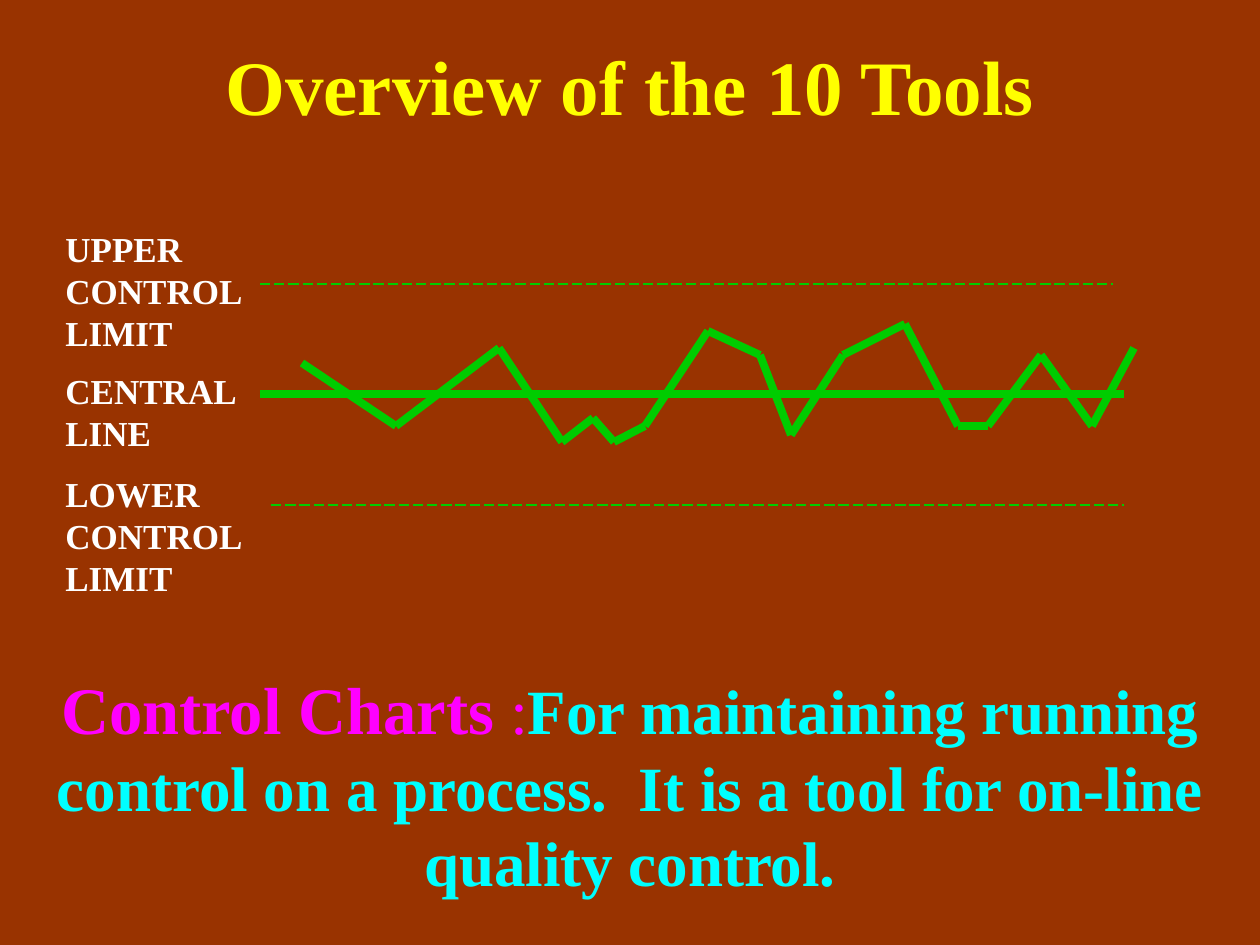
from lxml import etree
from pptx import Presentation
from pptx.dml.color import RGBColor
from pptx.enum.dml import MSO_LINE
from pptx.enum.shapes import MSO_CONNECTOR
from pptx.enum.text import MSO_ANCHOR, MSO_AUTO_SIZE, PP_ALIGN
from pptx.oxml.ns import qn
from pptx.util import Inches, Pt

STRAIGHT = MSO_CONNECTOR.STRAIGHT
DASH = MSO_LINE.LONG_DASH
TOP = MSO_ANCHOR.TOP
FIXED = MSO_AUTO_SIZE.NONE
LEFT, CENTER = PP_ALIGN.LEFT, PP_ALIGN.CENTER

SCALE = Inches(10) / 1260
FONT = "Times New Roman"
COLORS = {
    "back": "993300",
    "title": "FFFF00",
    "term": "FF00FF",
    "body": "00FFFF",
    "label": "FFFFFF",
    "line": "00CC00",
}
LABELS = [
    ("UPPER CONTROL LIMIT", 221, 208, 139),
    ("CENTRAL LINE", 363, 218, 97),
    ("LOWER CONTROL LIMIT", 466, 229, 139),
]
LIMITS = [(260, 1113, 284), (271, 1124, 505)]
CENTRAL = (260, 1124, 394)
POINTS = [
    (302, 363), (396, 426), (499, 348), (562, 442), (593, 418), (614, 442),
    (645, 426), (708, 331), (760, 355), (791, 435), (843, 355), (905, 324),
    (958, 426), (988, 426), (1041, 355), (1092, 426), (1134, 348),
]


def px(num):
    """Turn px into EMU."""
    return round(num * SCALE)


def rgb(name):
    """Look up a colour by its role."""
    return RGBColor.from_string(COLORS[name])


def style(run, size, color, bold=True):
    """Format one run."""
    font = run.font
    font.name, font.size, font.bold = FONT, Pt(size), bold
    font.color.rgb = rgb(color)


def place(shape, left, top, width, height):
    """Move and size a shape."""
    shape.left, shape.top = px(left), px(top)
    shape.width, shape.height = px(width), px(height)


def setup(shape, align):
    """Prepare the text frame and return its first paragraph."""
    frame = shape.text_frame
    frame.word_wrap = True
    frame.auto_size = FIXED
    frame.vertical_anchor = TOP
    para = frame.paragraphs[0]
    para.alignment = align
    para.space_before = Pt(0)
    return para


def add_title(slide):
    """Fill the title placeholder."""
    title = slide.shapes.title
    place(title, 0, 32, 1260, 106)
    para = setup(title, CENTER)
    para.text = "Overview of the 10 Tools"
    style(para.runs[0], 44, "title")


def add_body(slide):
    """Fill the body placeholder with the definition."""
    body = slide.placeholders[1]
    place(body, 0, 662, 1260, 244)
    para = setup(body, CENTER)
    props = para._p.get_or_add_pPr()
    props.set("marL", "0")
    props.set("indent", "0")
    etree.SubElement(props, qn("a:buNone"))
    parts = [
        ("Control Charts", 38, "term", True),
        (" :", 36, "term", False),
        ("For maintaining running control on a process.  "
         "It is a tool for on-line quality control.", 36, "body", True),
    ]
    for text, size, color, bold in parts:
        run = para.add_run()
        run.text = text
        style(run, size, color, bold)


def add_label(slide, text, top, width, height):
    """Add the name of a chart line."""
    box = slide.shapes.add_textbox(px(53), px(top), px(width), px(height))
    para = setup(box, LEFT)
    para.text = text
    style(para.runs[0], 20, "label")


def add_line(slide, start, end, width=4.5, dash=None):
    """Add a straight line between two points."""
    ends = [px(num) for num in (*start, *end)]
    link = slide.shapes.add_connector(STRAIGHT, *ends)
    link.line.color.rgb = rgb("line")
    link.line.width = Pt(width)
    if dash:
        link.line.dash_style = dash
    etree.SubElement(link._element.spPr, qn("a:effectLst"))


def add_chart(slide):
    """Draw the control chart and its labels."""
    left, right, level = CENTRAL
    add_line(slide, (left, level), (right, level))
    for left, right, level in LIMITS:
        add_line(slide, (left, level), (right, level), 0.75, DASH)
    for start, end in zip(POINTS, POINTS[1:]):
        add_line(slide, start, end)
    for label in LABELS:
        add_label(slide, *label)


def main():
    """Build and save the slide."""
    deck = Presentation()
    deck.slide_width, deck.slide_height = px(1260), px(945)
    slide = deck.slides.add_slide(deck.slide_layouts[1])
    fill = slide.background.fill
    fill.solid()
    fill.fore_color.rgb = rgb("back")
    add_title(slide)
    add_body(slide)
    add_chart(slide)
    deck.save("out.pptx")


if __name__ == "__main__":
    main()
